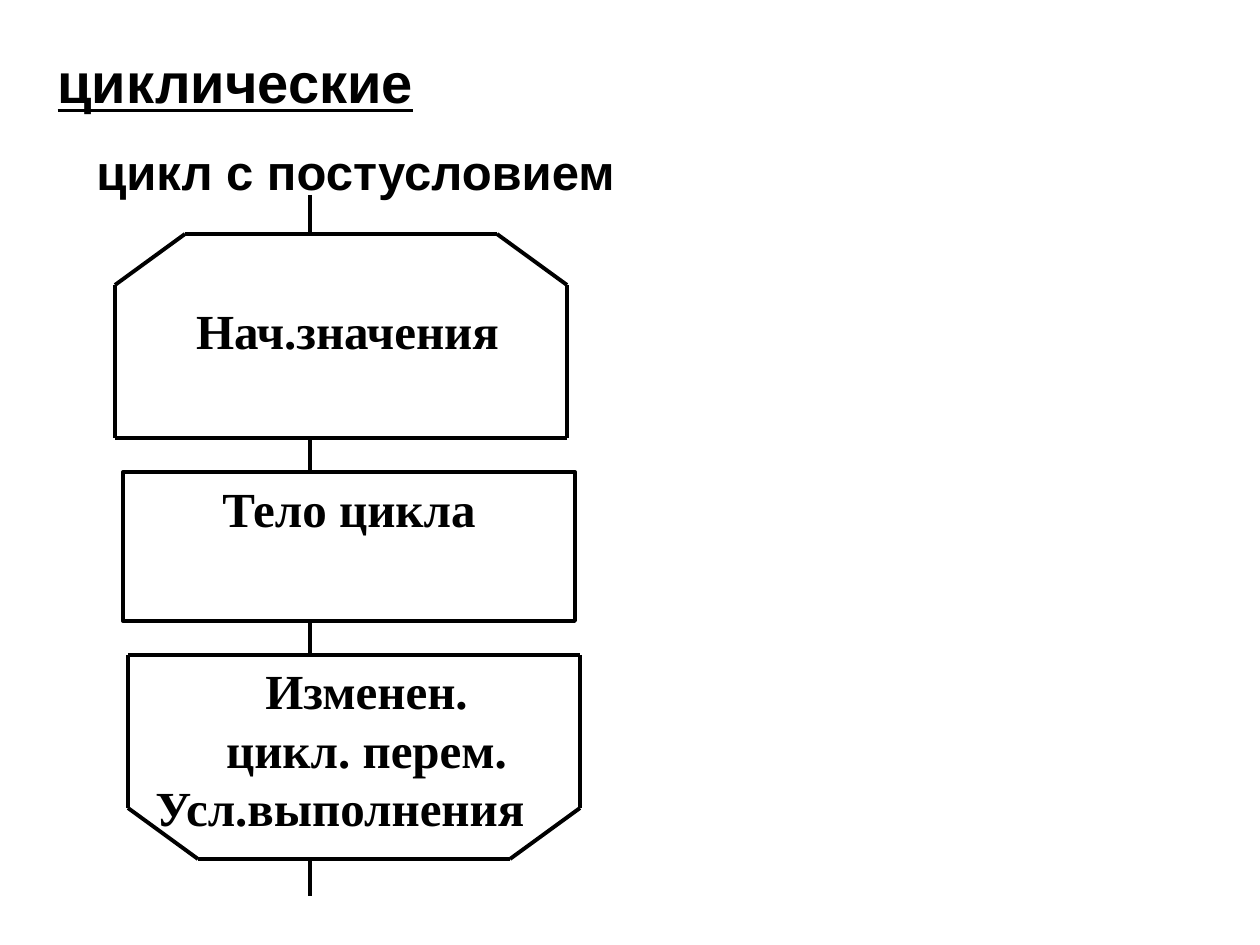
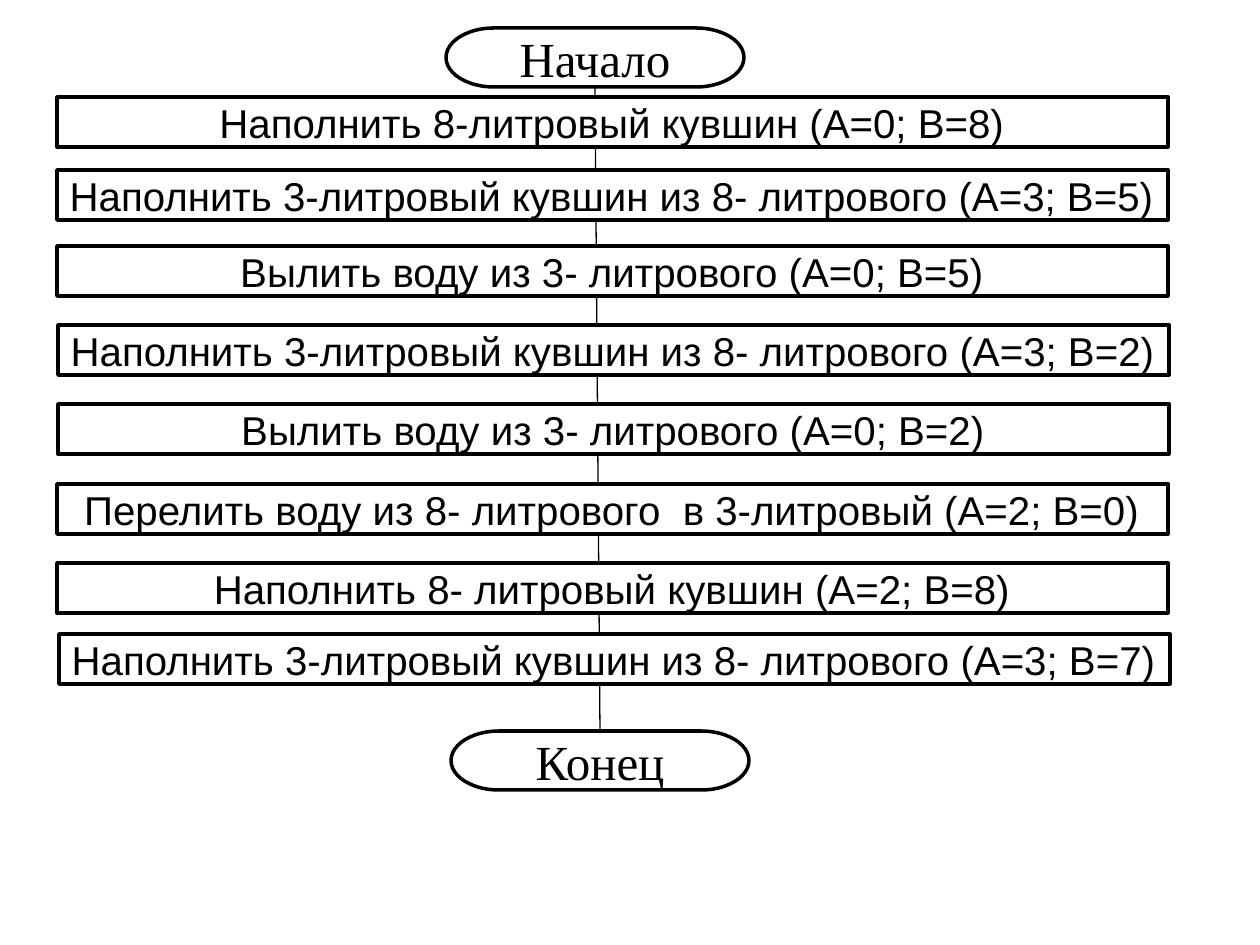
from dataclasses import dataclass
from itertools import pairwise

from lxml import etree
from pptx import Presentation, util as u
from pptx.dml.color import RGBColor
from pptx.enum import shapes, text
from pptx.oxml import ns

PX = 914400 / 126
NBSP = chr(160)
PROCESS = shapes.MSO_SHAPE.FLOWCHART_PROCESS
TERMINATOR = shapes.MSO_SHAPE.FLOWCHART_TERMINATOR
LEFT, CENTER = text.PP_ALIGN.LEFT, text.PP_ALIGN.CENTER
TOP, MIDDLE = text.MSO_ANCHOR.TOP, text.MSO_ANCHOR.MIDDLE


@dataclass(frozen=True)
class Theme:
    ink: RGBColor = RGBColor(0, 0, 0)
    paper: RGBColor = RGBColor(255, 255, 255)
    sans: str = "Arial"
    serif: str = "Times New Roman"
    title: int = 32
    label: int = 28
    step: int = 23
    loop_line: float = 2.25
    box_line: float = 2
    spine_line: float = 0.75


THEME = Theme()
LOOP_TEXT = dict(font=THEME.serif, bold=True, anchor=TOP)

STEPS = [
    (57, 97, "Наполнить 8-литровый кувшин (А=0; В=8)"),
    (57, 170, "Наполнить 3-литровый кувшин из 8- литрового (А=3; В=5)"),
    (57, 246, "Вылить воду из 3- литрового (А=0; В=5)"),
    (58, 325, "Наполнить 3-литровый кувшин из 8- литрового (А=3; В=2)"),
    (58, 404, "Вылить воду из 3- литрового (А=0; В=2)"),
    (57, 484, "Перелить воду из 8- литрового  в 3-литровый (А=2; В=0)"),
    (57, 563, "Наполнить 8- литровый кувшин (А=2; В=8)"),
    (59, 634, "Наполнить 3-литровый кувшин из 8- литрового (А=3; В=7)"),
]


def px(*lengths):
    return [u.Emu(round(n * PX)) for n in lengths]


def write(sp, *lines, font=THEME.sans, size=THEME.label, bold=False,
          underline=False, aligns=(CENTER,), anchor=MIDDLE, wrap=True):
    """Fill a shape with paragraphs; the last alignment serves the rest."""
    tf = sp.text_frame
    tf.word_wrap = wrap
    tf.vertical_anchor = anchor
    for i, words in enumerate(lines):
        p = tf.paragraphs[0] if i == 0 else tf.add_paragraph()
        p.alignment = aligns[min(i, len(aligns) - 1)]
        r = p.add_run()
        r.text = words
        r.font.name, r.font.size = font, u.Pt(size)
        r.font.bold, r.font.underline = bold, underline
        r.font.color.rgb = THEME.ink


def textbox(s, box, *lines, **style):
    write(s.shapes.add_textbox(*px(*box)), *lines, **style)


def block(s, kind, box, label, width=THEME.box_line, **style):
    sp = s.shapes.add_shape(kind, *px(*box))
    sp.shadow.inherit = False
    sp.line.color.rgb = THEME.ink
    sp.line.width = u.Pt(width)
    sp.fill.solid()
    sp.fill.fore_color.rgb = THEME.paper
    write(sp, label, **style)


def line(s, start, end, width=THEME.loop_line):
    c = s.shapes.add_connector(shapes.MSO_CONNECTOR.STRAIGHT,
                               *px(*start, *end))
    c.line.color.rgb = THEME.ink
    c.line.width = u.Pt(width)
    etree.SubElement(c._element.spPr, ns.qn("a:effectLst"))


def loop_cap(s, left, base, direction):
    """Loop limit symbol: bevelled upwards (-1) or downwards (1) from base."""
    right = left + 452
    shoulder, edge = base + direction * 153, base + direction * 204
    corners = [(left, base), (left, shoulder), (left + 70, edge),
               (right - 70, edge), (right, shoulder), (right, base)]
    for start, end in pairwise(corners + corners[:1]):
        line(s, start, end)


def loop_slide(prs):
    s = prs.slides.add_slide(prs.slide_layouts[5])
    title = s.shapes.title
    title.left, title.top, title.width, title.height = px(45, 42, 398, 79)
    write(title, "циклические", size=THEME.title, bold=True, underline=True,
          aligns=(LEFT,))
    textbox(s, (84, 135, 559, 72), "цикл с постусловием", bold=True,
            aligns=(LEFT,))

    for top, bottom in [(195, 234), (438, 472), (621, 655), (859, 896)]:
        line(s, (310, top), (310, bottom))
    loop_cap(s, 115, 438, -1)
    loop_cap(s, 128, 655, 1)
    block(s, shapes.MSO_SHAPE.RECTANGLE, (123, 472, 452, 149), "Тело цикла",
          width=THEME.loop_line, **LOOP_TEXT)
    textbox(s, (124, 294, 447, 84), "Нач.значения", **LOOP_TEXT)
    textbox(s, (143, 654, 447, 186), f"Изменен. цикл.{NBSP}перем.",
            "Усл.выполнения", aligns=(CENTER, LEFT), **LOOP_TEXT)


def jugs_slide(prs):
    s = prs.slides.add_slide(prs.slide_layouts[6])
    line(s, (595, 87), (600, 731), THEME.spine_line)
    for left, top, label in [(446, 28, "Начало"), (451, 731, "Конец")]:
        block(s, TERMINATOR, (left, top, 298, 59), label, font=THEME.serif)
    for left, top, label in STEPS:
        block(s, PROCESS, (left, top, 1111, 50), label, size=THEME.step,
              wrap=False)


def main():
    prs = Presentation()
    prs.slide_width, prs.slide_height = px(1260, 945)
    loop_slide(prs)
    jugs_slide(prs)
    prs.save("out.pptx")


if __name__ == "__main__":
    main()
